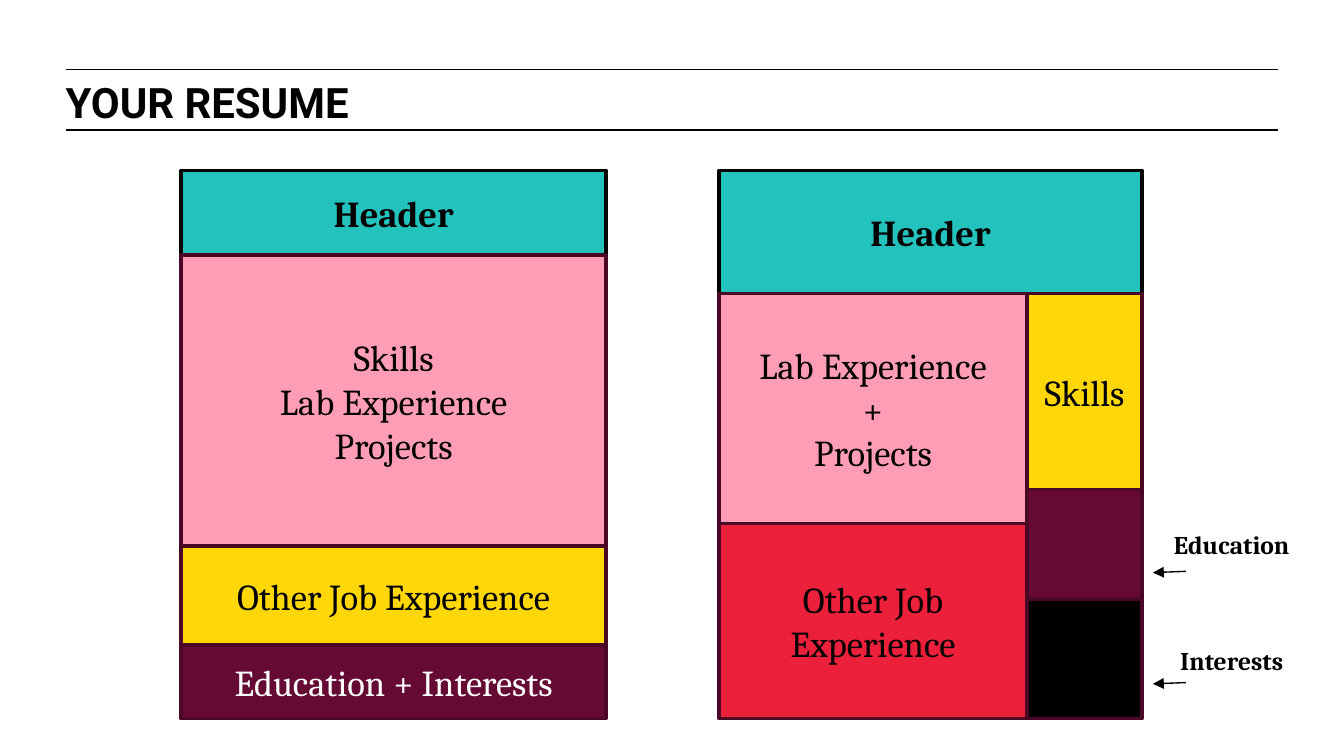
from lxml import etree
from pptx import Presentation
from pptx.dml.color import RGBColor
from pptx.enum.shapes import MSO_CONNECTOR, MSO_SHAPE
from pptx.enum.text import MSO_ANCHOR, PP_ALIGN
from pptx.oxml.ns import qn
from pptx.util import Pt

RECT = MSO_SHAPE.RECTANGLE
LINE = MSO_CONNECTOR.STRAIGHT
LEFT, CENTER = PP_ALIGN.LEFT, PP_ALIGN.CENTER
TOP, MIDDLE = MSO_ANCHOR.TOP, MSO_ANCHOR.MIDDLE

BLACK, WHITE = "000000", "FFFFFF"
TEAL, PINK, YELLOW = "23C2BC", "FF9DB6", "FFD707"
PLUM, RED, EDGE = "650A34", "ED203B", "4B0726"


def color(code):
    return RGBColor.from_string(code)


def write(frame, text, size=20, font="Cambria", ink=BLACK, bold=False,
          align=CENTER, anchor=MIDDLE):
    frame.word_wrap = True
    frame.vertical_anchor = anchor
    for i, line in enumerate(text.split("\n")):
        para = frame.add_paragraph() if i else frame.paragraphs[0]
        para.alignment = align
        run = para.add_run()
        run.text = line
        run.font.size = Pt(size)
        run.font.name = font
        run.font.bold = bold
        run.font.color.rgb = color(ink)


def label(slide, x, y, w, h, text, inset=None, **style):
    frame = slide.shapes.add_textbox(Pt(x), Pt(y), Pt(w), Pt(h)).text_frame
    if inset is not None:
        frame.margin_left = frame.margin_right = Pt(inset)
        frame.margin_top = frame.margin_bottom = Pt(inset)
    write(frame, text, **style)


def block(slide, x, y, w, h, fill, text="", edge=EDGE, **style):
    box = slide.shapes.add_shape(RECT, Pt(x), Pt(y), Pt(w), Pt(h))
    box.shadow.inherit = False
    box.fill.solid()
    box.fill.fore_color.rgb = color(fill)
    box.line.color.rgb = color(edge)
    box.line.width = Pt(2)
    if text:
        write(box.text_frame, text, **style)


def stack(slide, x, y, w, parts):
    """Place blocks of the given heights one below the other."""
    for h, fill, text, style in parts:
        block(slide, x, y, w, h, fill, text, **style)
        y += h


def rule(slide, x1, y1, x2, y2, arrow=False):
    line = slide.shapes.add_connector(LINE, Pt(x1), Pt(y1), Pt(x2), Pt(y2))
    line.line.color.rgb = color(BLACK)
    line.line.width = Pt(0.75)
    if arrow:
        etree.SubElement(line.line._get_or_add_ln(), qn("a:tailEnd"),
                         type="triangle")
    etree.SubElement(line._element.spPr, qn("a:effectLst"))


def main():
    deck = Presentation()
    deck.slide_width, deck.slide_height = Pt(737.28), Pt(414)
    slide = deck.slides.add_slide(deck.slide_layouts[6])

    # Title between two rules
    for y in (38.2, 71.3):
        rule(slide, 36, y, 701.3, y)
    label(slide, 36, 41.8, 438, 24.5, "YOUR RESUME", inset=0, size=23,
          font="Roboto", bold=True, align=LEFT, anchor=TOP)

    # One-column resume
    top = 93.5
    head = {"edge": BLACK, "bold": True}
    stack(slide, 99.5, top, 233, [
        (46.5, TEAL, "Header", head),
        (159.5, PINK, "Skills\nLab Experience\nProjects", {}),
        (54, YELLOW, "Other Job Experience", {}),
        (40.5, PLUM, "Education + Interests", {"ink": WHITE}),
    ])

    # Two-column resume
    x, wide, slim, band = 394.5, 169, 63, 67.5
    block(slide, x, top, wide + slim, band, TEAL, "Header", **head)
    stack(slide, x, top + band, wide, [
        (126, PINK, "Lab Experience\n+\nProjects", {}),
        (107, RED, "Other Job Experience", {}),
    ])
    stack(slide, x + wide, top + band, slim, [
        (107.5, YELLOW, "Skills", {}),
        (60, PLUM, "", {}),
        (65.5, BLACK, "", {}),
    ])

    # Side labels with arrows
    for text, y, tip in (("Education", 286.5, 314), ("Interests", 350, 375)):
        label(slide, 630, y, 91.5, 24.5, text, size=14, bold=True, anchor=TOP)
        rule(slide, 650.5, tip - 0.7, 632.5, tip, arrow=True)

    deck.save("out.pptx")


if __name__ == "__main__":
    main()
